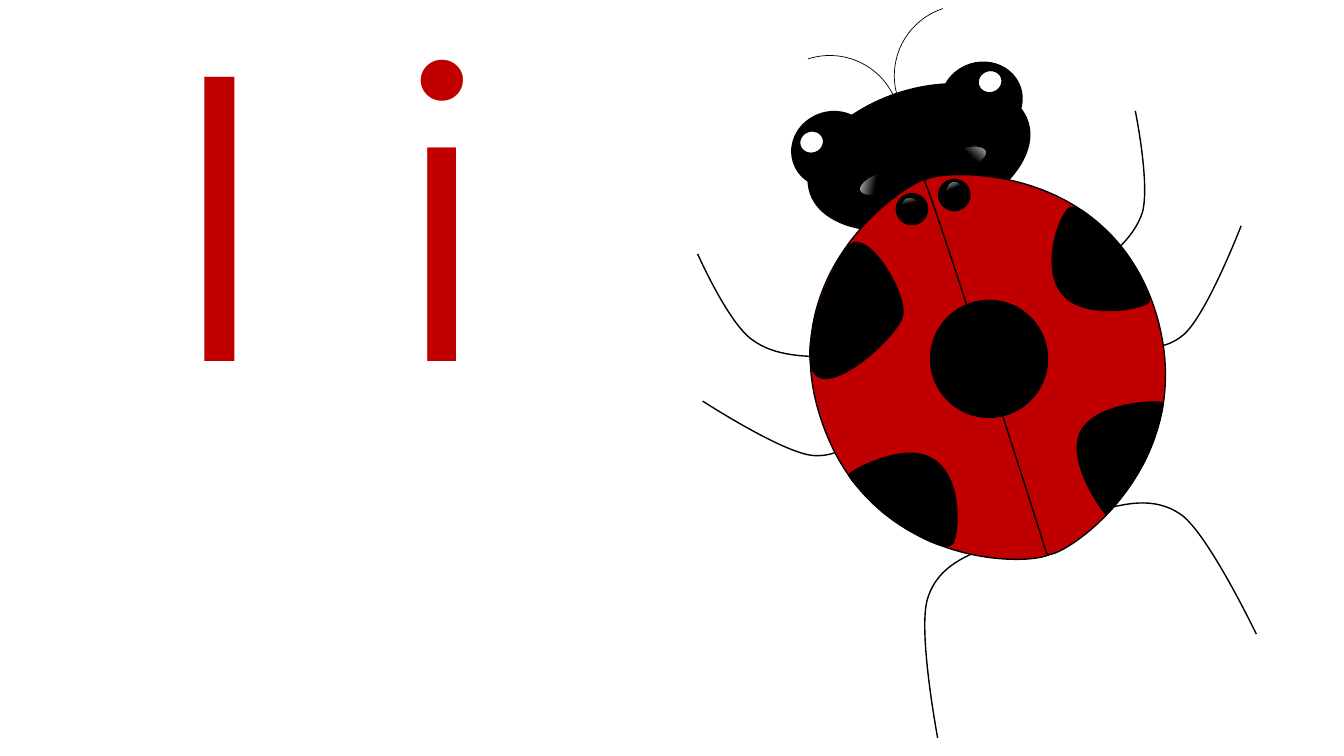
from pptx import Presentation
from pptx.dml.color import RGBColor
from pptx.enum.shapes import MSO_SHAPE
from pptx.enum.text import MSO_ANCHOR, MSO_AUTO_SIZE, PP_ALIGN
from pptx.oxml.ns import qn
from pptx.util import Inches, Pt

RED = RGBColor(0xC0, 0x00, 0x00)
BLACK = RGBColor(0x00, 0x00, 0x00)
WHITE = RGBColor(0xFF, 0xFF, 0xFF)
TILT = 341.9  # lean of the whole ladybug

# Curves: a start point, then three points per Bezier segment
LEGS = [
    [(3.91, 5.39), (3.6, 5.5), (3.3, 5.61), (3.2, 5.94), (3.1, 6.26), (3.3, 7.32), (3.3, 7.32)],
    [(4.97, 3.39), (5.24, 3.45), (5.52, 3.51), (5.74, 3.32), (5.97, 3.12), (6.31, 2.24), (6.31, 2.24)],
    [(4.82, 5.09), (5.13, 5), (5.44, 4.91), (5.72, 5.11), (5.99, 5.31), (6.46, 6.29), (6.46, 6.29)],
    [(2.74, 4.12), (2.55, 4.33), (2.36, 4.54), (2.07, 4.52), (1.77, 4.5), (0.97, 3.98), (0.97, 3.98)],
    [(2.32, 3.54), (2, 3.54), (1.69, 3.54), (1.46, 3.37), (1.22, 3.2), (0.92, 2.52), (0.92, 2.52)],
    [(4.73, 2.75), (4.99, 2.56), (5.24, 2.38), (5.33, 2.11), (5.41, 1.83), (5.26, 1.1), (5.26, 1.1)],
]
WINGS = [
    [(2.15, 4.18), (1.6, 2.58), (3.22, 1.66), (3.23, 1.78), (3.24, 1.91), (4.38, 5.34), (4.43, 5.47),
     (4.48, 5.6), (2.69, 5.77), (2.15, 4.18)],
    [(5.46, 3.09), (4.95, 1.49), (3.11, 1.7), (3.17, 1.8), (3.24, 1.91), (4.34, 5.35), (4.38, 5.49),
     (4.41, 5.62), (5.96, 4.7), (5.46, 3.09)],
]
SPOTS = [
    [(4.72, 4.28), (4.88, 3.98), (5.52, 3.97), (5.53, 4), (5.55, 4.04), (5.44, 4.4), (5.35, 4.58),
     (5.25, 4.76), (5, 5.11), (4.97, 5.1), (4.94, 5.08), (4.57, 4.58), (4.72, 4.28)],
    [(3.26, 4.56), (3.55, 4.75), (3.51, 5.29), (3.45, 5.39), (3.38, 5.49), (3.04, 5.28), (2.87, 5.16),
     (2.7, 5.05), (2.41, 4.74), (2.42, 4.71), (2.44, 4.67), (2.98, 4.37), (3.26, 4.56)],
    [(4.54, 2.92), (4.32, 2.66), (4.5, 2.15), (4.6, 2.07), (4.69, 1.99), (4.96, 2.28), (5.1, 2.43),
     (5.23, 2.59), (5.44, 2.95), (5.39, 3), (5.34, 3.06), (4.76, 3.18), (4.54, 2.92)],
    [(2.95, 3.14), (2.89, 3.35), (2.22, 3.95), (2.07, 3.69), (1.92, 3.43), (2.25, 2.59), (2.43, 2.43),
     (2.61, 2.27), (3.01, 2.93), (2.95, 3.14)],
]

# Round parts: left, top, width, height
HEAD = (1.98, 0.89, 2.27, 1.34)
CENTRE_SPOT = (3.23, 2.98, 1.16, 1.16)
EYES = [(3.33, 0.62, 0.81, 0.75), (1.85, 1.11, 0.81, 0.75)]
PUPILS = [(3.7, 0.7, 0.24, 0.22), (1.93, 1.3, 0.24, 0.22)]
DOTS = [(2.89, 1.92, 0.31, 0.31), (3.31, 1.78, 0.31, 0.31)]
# Parts in mirrored pairs: box, rotation, flipped
ANTENNAE = [((2.87, 0.05, 1.4, 1.4), 251.9, False), ((1.53, 0.55, 1.4, 1.4), 71.9, True)]
CHEEKS = [((3.28, 1.47, 0.52, 0.22), TILT, False), ((2.51, 1.7, 0.52, 0.22), TILT, True)]
DOT_SHINES = [((3.35, 1.82, 0.23, 0.18), 277.2, False), ((2.93, 1.97, 0.23, 0.18), 46.6, True)]


def paint(part, fill, weight=1):
    part.shadow.inherit = False
    part.line.color.rgb = BLACK
    part.line.width = Pt(weight)
    if fill is None:
        part.fill.background()
    else:
        part.fill.solid()
        part.fill.fore_color.rgb = fill


def add_curve(group, origin, points, fill=None):
    left, top = origin
    start, *rest = [(Inches(left + x), Inches(top + y)) for x, y in points]
    builder = group.shapes.build_freeform(*start)
    builder.add_line_segments(rest, close=fill is not None)
    curve = builder.convert_to_shape()
    # Merge each three straight steps into one Bezier segment
    outline = next(curve._element.iter(qn("a:path")))
    steps = outline.findall(qn("a:lnTo"))
    for first, second, third in zip(steps[::3], steps[1::3], steps[2::3]):
        bezier = outline.makeelement(qn("a:cubicBezTo"))
        first.addprevious(bezier)
        for step in (first, second, third):
            bezier.append(step[0])
            outline.remove(step)
    paint(curve, fill)


def add_round(group, origin, box, fill, rotation=TILT, flipped=False, preset=MSO_SHAPE.OVAL, weight=1):
    left, top, width, height = box
    part = group.shapes.add_shape(preset, Inches(origin[0] + left), Inches(origin[1] + top),
                                  Inches(width), Inches(height))
    part.rotation = rotation
    if flipped:
        part._element.spPr.find(qn("a:xfrm")).set("flipH", "1")
    paint(part, fill, weight)
    return part


def add_shine(group, origin, box, rotation, flipped):
    shine = add_round(group, origin, box, BLACK, rotation, flipped)
    shine.fill.gradient()
    shine.fill.gradient_angle = 210
    for stop, position, color in zip(shine.fill.gradient_stops, (0, 0.38), (WHITE, BLACK)):
        stop.position = position
        stop.color.rgb = color


def add_ladybug(slide, left, top):
    bug = slide.shapes.add_group_shape()
    origin = (left, top)
    # Legs, antennae and head
    for leg in LEGS:
        add_curve(bug, origin, leg)
    for box, rotation, flipped in ANTENNAE:
        add_round(bug, origin, box, None, rotation, flipped, MSO_SHAPE.ARC, 0.5)
    add_round(bug, origin, HEAD, BLACK)
    # Wings and spots
    for wing in WINGS:
        add_curve(bug, origin, wing, RED)
    add_round(bug, origin, CENTRE_SPOT, BLACK)
    for spot in SPOTS:
        add_curve(bug, origin, spot, BLACK)
    # Face and the two shiny dots
    for box in EYES + DOTS:
        add_round(bug, origin, box, BLACK)
    for box in PUPILS:
        add_round(bug, origin, box, WHITE)
    for box, rotation, flipped in CHEEKS + DOT_SHINES:
        add_shine(bug, origin, box, rotation, flipped)


def add_letters(slide, left, top, width, height):
    letters = slide.shapes.title
    letters.left, letters.top = Inches(left), Inches(top)
    letters.width, letters.height = Inches(width), Inches(height)
    frame = letters.text_frame
    frame.word_wrap = True
    frame.auto_size = MSO_AUTO_SIZE.NONE
    frame.vertical_anchor = MSO_ANCHOR.TOP
    paragraph = frame.paragraphs[0]
    paragraph.alignment = PP_ALIGN.LEFT
    run = paragraph.add_run()
    run.text = "I i"
    run.font.name = "Montserrat"
    run.font.size = Pt(290)
    run.font.color.rgb = RED


def main():
    deck = Presentation()
    deck.slide_width, deck.slide_height = Inches(13.33), Inches(7.5)
    slide = deck.slides.add_slide(deck.slide_layouts[5])
    add_letters(slide, 1.47, -0.49, 7.93, 4.98)
    add_ladybug(slide, 6, 0)
    deck.save("out.pptx")


if __name__ == "__main__":
    main()
